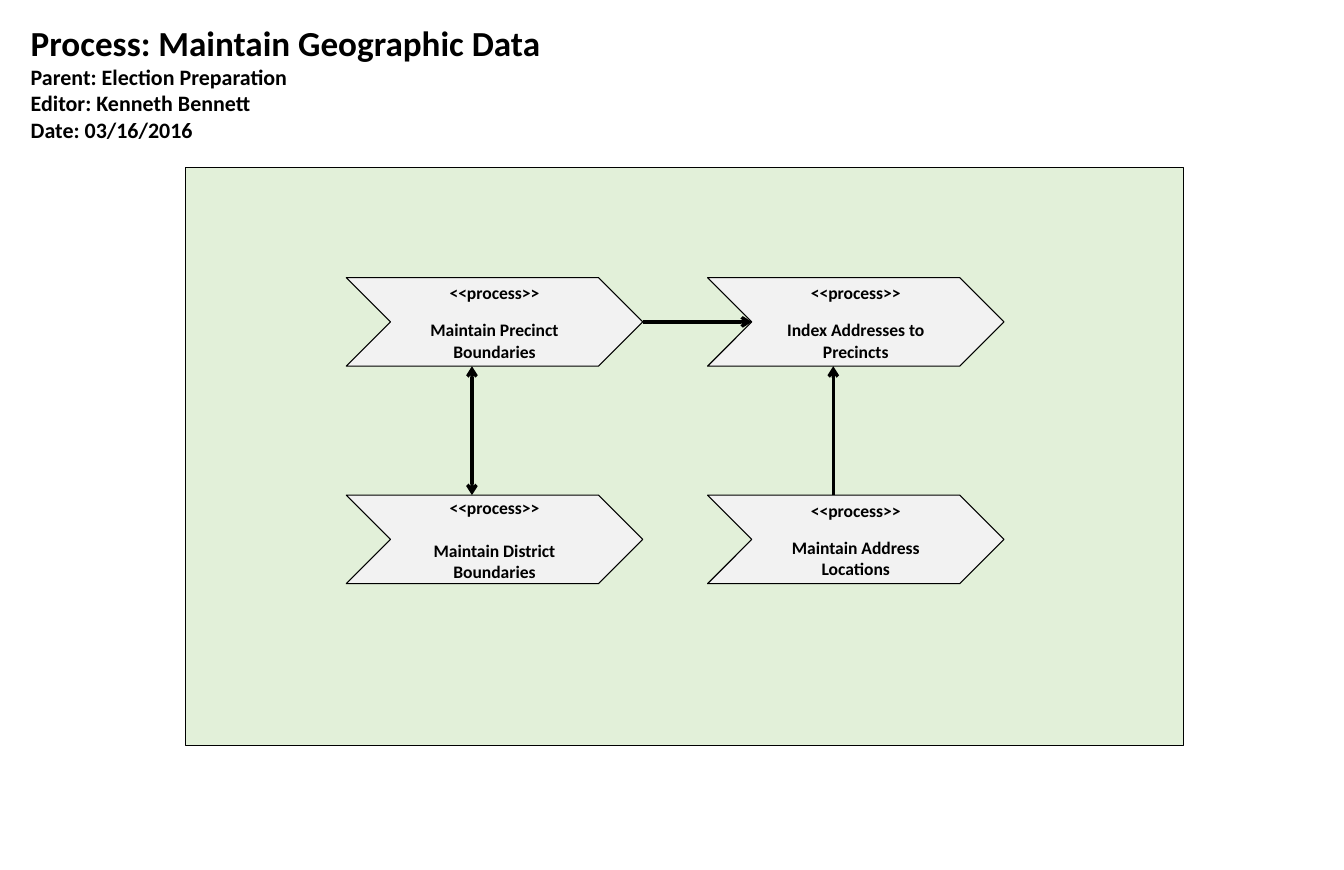
from lxml.etree import SubElement
from pptx import Presentation
from pptx.dml.color import RGBColor
from pptx.enum.shapes import MSO_CONNECTOR, MSO_SHAPE
from pptx.enum.text import MSO_ANCHOR, PP_ALIGN
from pptx.oxml.ns import qn
from pptx.util import Emu, Pt

BLACK = RGBColor(0x00, 0x00, 0x00)
PALE_GREEN = RGBColor(0xE2, 0xF0, 0xD9)
PALE_GRAY = RGBColor(0xF2, 0xF2, 0xF2)

EMU_PER_PX = 9144
LEFT, TOP = 438, 351
COLUMN_STEP, ROW_STEP = 457, 275
WIDTH, HEIGHT = 375, 112
POINT = HEIGHT // 2
ARROW_OFFSET = (WIDTH - POINT) // 2

HEADER = [
    ("Process: Maintain Geographic Data", 32, 0),
    ("Parent: Election Preparation", 20, 0),
    ("Editor: Kenneth Bennett", 20, 0),
    ("Date: 03/16/2016", 20, 0),
]
PROCESSES = [
    (0, 0, "Maintain Precinct Boundaries", 14.6),
    (1, 0, "Index Addresses to Precincts", 14.6),
    (0, 1, "Maintain District Boundaries", 19.5),
    (1, 1, "Maintain Address Locations", 14.6),
]


def px(value):
    return Emu(value * EMU_PER_PX)


def apply_format(target, values):
    for name, value in values.items():
        setattr(target, name, value)


class Diagram:
    font_format = {"name": "Calibri", "bold": True}

    def __init__(self, slide):
        self.slide = slide

    def fill_text(self, text_frame, lines, alignment):
        text_frame.word_wrap = True
        for index, (text, size, gap) in enumerate(lines):
            paragraph = text_frame.add_paragraph() if index else text_frame.paragraphs[0]
            paragraph.text = text
            paragraph.alignment = alignment
            if gap:
                paragraph.space_before = Pt(gap)
            apply_format(paragraph.font, {**self.font_format, "size": Pt(size)})
            paragraph.font.color.rgb = BLACK

    def text(self, left, top, width, height, lines):
        box = self.slide.shapes.add_textbox(px(left), px(top), px(width), px(height))
        self.fill_text(box.text_frame, lines, PP_ALIGN.LEFT)

    def shape(self, kind, left, top, width, height, fill):
        shape = self.slide.shapes.add_shape(kind, px(left), px(top), px(width), px(height))
        shape.shadow.inherit = False
        shape.fill.solid()
        shape.fill.fore_color.rgb = fill
        shape.line.color.rgb = BLACK
        shape.line.width = Pt(1)
        return shape

    def process(self, column, row, name, gap):
        left, top = LEFT + column * COLUMN_STEP, TOP + row * ROW_STEP
        chevron = self.shape(MSO_SHAPE.CHEVRON, left, top, WIDTH, HEIGHT, PALE_GRAY)
        chevron.text_frame.vertical_anchor = MSO_ANCHOR.MIDDLE
        lines = [("<<process>>", 16, 0), (name, 16, gap)]
        self.fill_text(chevron.text_frame, lines, PP_ALIGN.CENTER)

    def arrow(self, start, end, ends=("tailEnd",)):
        connector = self.slide.shapes.add_connector(
            MSO_CONNECTOR.STRAIGHT, *map(px, start + end))
        connector.line.color.rgb = BLACK
        connector.line.width = Pt(3)
        properties = connector._element.spPr
        line = properties.find(qn("a:ln"))
        for tag in ends:
            SubElement(line, qn(f"a:{tag}"), type="arrow")
        SubElement(properties, qn("a:effectLst"))


def main():
    presentation = Presentation()
    apply_format(presentation, {"slide_width": px(1700), "slide_height": px(1100)})
    diagram = Diagram(presentation.slides.add_slide(presentation.slide_layouts[6]))

    diagram.text(29, 22, 1087, 165, HEADER)
    diagram.shape(MSO_SHAPE.RECTANGLE, 235, 212, 1262, 731, PALE_GREEN)
    for process in PROCESSES:
        diagram.process(*process)

    first_x = LEFT + ARROW_OFFSET
    second_x = first_x + COLUMN_STEP
    upper_y, lower_y = TOP + HEIGHT, TOP + ROW_STEP
    middle_y = TOP + POINT
    diagram.arrow((first_x, upper_y), (first_x, lower_y), ("headEnd", "tailEnd"))
    diagram.arrow((LEFT + WIDTH, middle_y), (LEFT + COLUMN_STEP + POINT, middle_y))
    diagram.arrow((second_x, lower_y), (second_x, upper_y))

    presentation.save("out.pptx")


if __name__ == "__main__":
    main()
